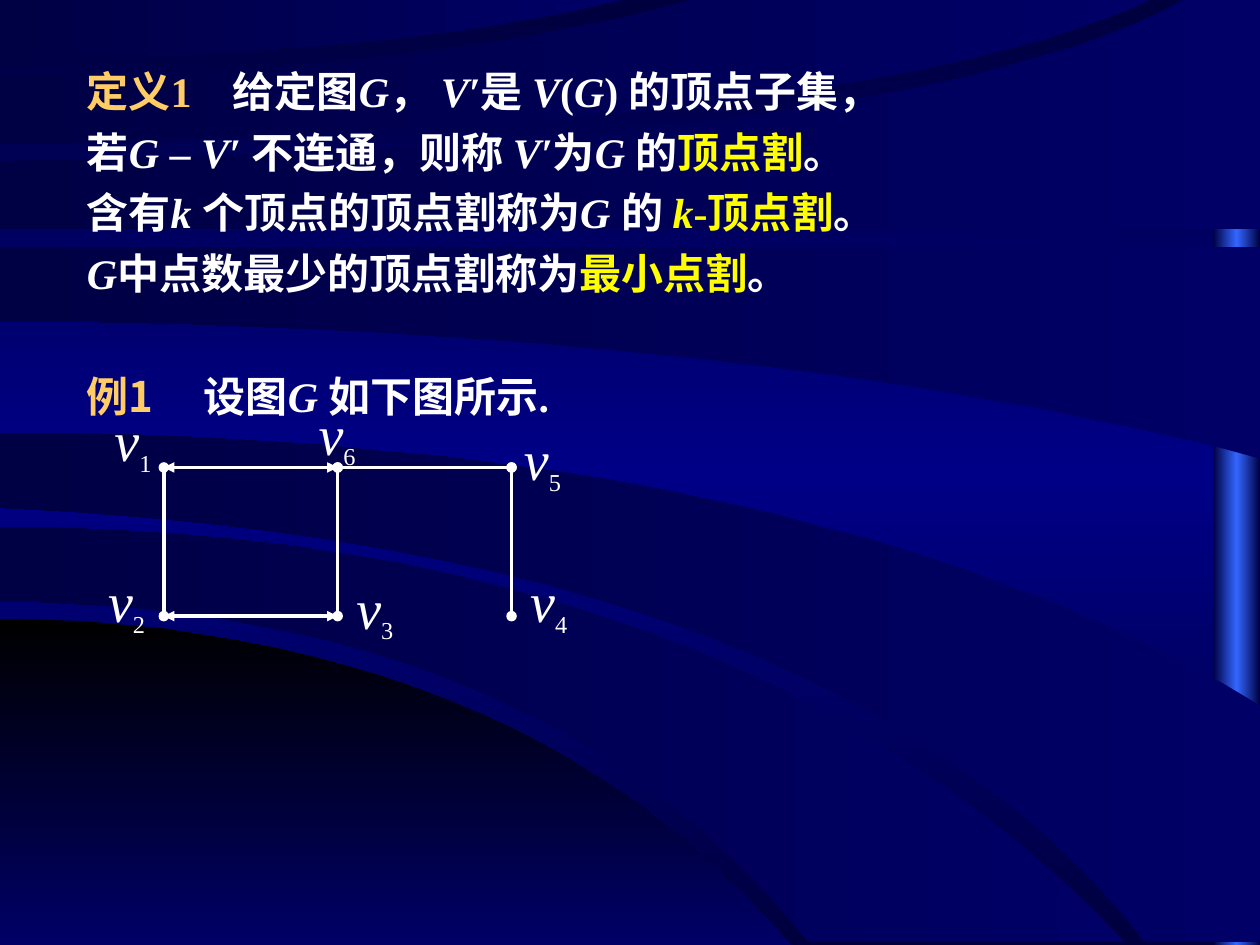
from copy import deepcopy
from typing import NamedTuple

from lxml import etree
from pptx import Presentation
from pptx.dml.color import RGBColor
from pptx.enum.shapes import MSO_CONNECTOR, MSO_SHAPE
from pptx.oxml.ns import qn
from pptx.util import Emu, Pt

RECTANGLE = MSO_SHAPE.RECTANGLE
STRAIGHT = MSO_CONNECTOR.STRAIGHT
PX = 9144  # EMU per px, 100 px to the inch
WIDTH, HEIGHT = 1000, 750
LATIN, HAN = "Times New Roman", "Noto Sans CJK SC"
COLORS = {
    "white": "FFFFFF", "yellow": "FFFF00", "gold": "FFCC66", "black": "000000",
    "night": "00003E", "royal": "000086", "deep": "000044", "navy": "000066",
    "bright": "3366FF",
}
Point = tuple[int, int]


class Run(NamedTuple):
    text: str
    color: str = "white"
    italic: bool = False
    font: str = LATIN


class Band(NamedTuple):
    """An area between two edges, each given from left to right."""
    upper: list[Point]
    lower: list[Point]
    corner: tuple[Point, ...] = ()
    stops: tuple[str, ...] = ("navy", "deep")
    angle: int = 180


class Edge(NamedTuple):
    start: Point
    end: Point
    tip: str


class Vertex(NamedTuple):
    index: str
    left: int
    top: int


# Backdrop bands from back to front: an edge bends through its middle point
BANDS = [
    Band([(0, 491), (361, 558), (628, 750)], [(0, HEIGHT)], (), ("black", "navy"), 90),
    Band([(0, 418), (515, 502), (893, 748)], [(0, 477), (376, 547), (642, 748)]),
    Band([(0, 344), (570, 398), (WIDTH, 560)], [(0, 403), (561, 505), (909, 748)],
         ((WIDTH, 748),)),
    Band([(0, 196), (WIDTH, 196)], [(0, 255), (552, 284), (WIDTH, 364)]),
    Band([(0, 128), (597, 92), (943, -2)], [(0, 182), (WIDTH, 182)], ((WIDTH, -2),)),
    Band([(0, 61), (308, 45), (556, -2)], [(0, 114), (577, 80), (917, -2)]),
    Band([(0, -2)], [(0, 47), (289, 33), (501, -2)]),
]

DEFINITION = [
    [Run("定义1\t", "gold"), Run("给定图"), Run("G", italic=True), Run("， "),
     Run("V′", italic=True), Run("是 "), Run("V", italic=True), Run("("),
     Run("G", italic=True), Run(") 的顶点子集，")],
    [Run("若"), Run("G ", italic=True), Run("– "), Run("V′ ", italic=True),
     Run("不连通，则称 "), Run("V′", italic=True), Run("为"), Run("G ", italic=True),
     Run("的"), Run("顶点割", "yellow"), Run("。")],
    [Run("含有"), Run("k ", italic=True), Run("个顶点的顶点割称为"), Run("G ", italic=True),
     Run("的 "), Run("k", "yellow", True), Run("-顶点割", "yellow"), Run("。")],
    [Run("G", italic=True), Run("中点数最少的顶点割称为"), Run("最小点割", "yellow"), Run("。")],
]
EXAMPLE = [[Run("例1\t", "gold", font=HAN), Run("设图"), Run("G ", italic=True),
            Run("如下图所示.")]]

# Graph G: three columns and two rows of vertices
X1, X2, X3 = range(130, 407, 138)
TOP, BOTTOM = 371, 489
EDGES = [
    *(Edge((X1, y), (X2, y), "triangle") for y in (BOTTOM, TOP)),
    *(Edge((x, TOP), (x, BOTTOM), "oval") for x in (X1, X2, X3)),
    Edge((X3, TOP), (X2, TOP), "oval"),
]
VERTICES = [Vertex("1", 81, 317), Vertex("2", 76, 445), Vertex("3", 273, 450),
            Vertex("6", 243, 312), Vertex("5", 406, 332), Vertex("4", 411, 445)]


def rgb(color: str) -> RGBColor:
    return RGBColor.from_string(COLORS[color])


def px(*lengths: int) -> list[Emu]:
    return [Emu(n * PX) for n in lengths]


def paint_gradient(fill, element, stops: tuple[str, ...], angle: int) -> None:
    """Spread the stops evenly; the angle runs clockwise."""
    fill.gradient()
    fill.gradient_angle = 360 - angle
    stop_list = element.find(".//" + qn("a:gsLst"))
    while len(stop_list) < len(stops):
        stop_list.append(deepcopy(stop_list[0]))
    for i, (stop, color) in enumerate(zip(fill.gradient_stops, stops)):
        stop.color.rgb = rgb(color)
        stop.position = i / (len(stops) - 1)


def finish_backdrop(shape, stops: tuple[str, ...], angle: int) -> None:
    shape.shadow.inherit = False
    shape.line.fill.background()
    paint_gradient(shape.fill, shape._element, stops, angle)


def bend(edge: list[Point], steps: int = 24) -> list[Point]:
    """Turn three points into a parabola; shorter edges stay straight."""
    if len(edge) < 3:
        return edge
    curve = []
    for i in range(steps + 1):
        t = i / steps
        weights = ((1 - t) * (1 - 2 * t), 4 * t * (1 - t), t * (2 * t - 1))
        x, y = (sum(w * n for w, n in zip(weights, axis)) for axis in zip(*edge))
        curve.append((round(x), round(y)))
    return curve


def draw_band(shapes, band: Band) -> None:
    outline = [*bend(band.upper), *band.corner, *reversed(bend(band.lower))]
    builder = shapes.build_freeform(*outline[0], scale=PX)
    builder.add_line_segments(outline[1:], close=True)
    finish_backdrop(builder.convert_to_shape(), band.stops, band.angle)


def add_run(paragraph, part: Run, size: int, bold: bool = False):
    run = paragraph.add_run()
    run.text = part.text
    font = run.font
    font.size, font.bold, font.italic = Pt(size), bold, part.italic
    font.color.rgb = rgb(part.color)
    font.name = part.font
    etree.SubElement(run._r.get_or_add_rPr(), qn("a:ea"), typeface=HAN)
    return run


def draw_text(shapes, box: tuple[int, ...], lines: list[list[Run]], tab: int) -> None:
    frame = shapes.add_textbox(*px(*box)).text_frame
    frame.word_wrap = True
    for i, line in enumerate(lines):
        paragraph = frame.add_paragraph() if i else frame.paragraphs[0]
        paragraph.line_spacing = Pt(34.6)
        tabs = etree.SubElement(paragraph._p.get_or_add_pPr(), qn("a:tabLst"))
        etree.SubElement(tabs, qn("a:tab"), pos=str(tab * PX), algn="l")
        for part in line:
            add_run(paragraph, part, 24, bold=True)


def draw_edge(shapes, edge: Edge) -> None:
    line = shapes.add_connector(STRAIGHT, *px(*edge.start, *edge.end))
    line.line.color.rgb = rgb("white")
    line.line.width = Pt(2)
    for end in ("a:headEnd", "a:tailEnd"):
        etree.SubElement(line.line._get_or_add_ln(), qn(end), type=edge.tip)
    etree.SubElement(line._element.spPr, qn("a:effectLst"))


def draw_vertex_label(shapes, vertex: Vertex) -> None:
    frame = shapes.add_textbox(*px(vertex.left, vertex.top, 64, 67)).text_frame
    frame.word_wrap = True
    paragraph = frame.paragraphs[0]
    add_run(paragraph, Run("v", italic=True), 32)
    index = add_run(paragraph, Run(vertex.index), 24)
    index._r.get_or_add_rPr().set("baseline", "-25000")


def main() -> None:
    deck = Presentation()
    deck.slide_width, deck.slide_height = px(WIDTH, HEIGHT)
    slide = deck.slides.add_slide(deck.slide_layouts[6])
    shapes = slide.shapes

    # Backdrop
    paint_gradient(slide.background.fill, slide._element, ("night", "royal", "night"), 90)
    strip = shapes.add_shape(RECTANGLE, *px(963, 0, 37, HEIGHT))
    finish_backdrop(strip, ("deep", "bright", "deep"), 180)
    for band in BANDS:
        draw_band(shapes, band)

    # Definition, graph and example
    draw_text(shapes, (59, 39, 835, 202), DEFINITION, 116)
    graph = shapes.add_group_shape().shapes
    for edge in EDGES:
        draw_edge(graph, edge)
    for vertex in VERTICES:
        draw_vertex_label(graph, vertex)
    draw_text(shapes, (59, 281, 843, 58), EXAMPLE, 93)

    deck.save("out.pptx")


if __name__ == "__main__":
    main()
